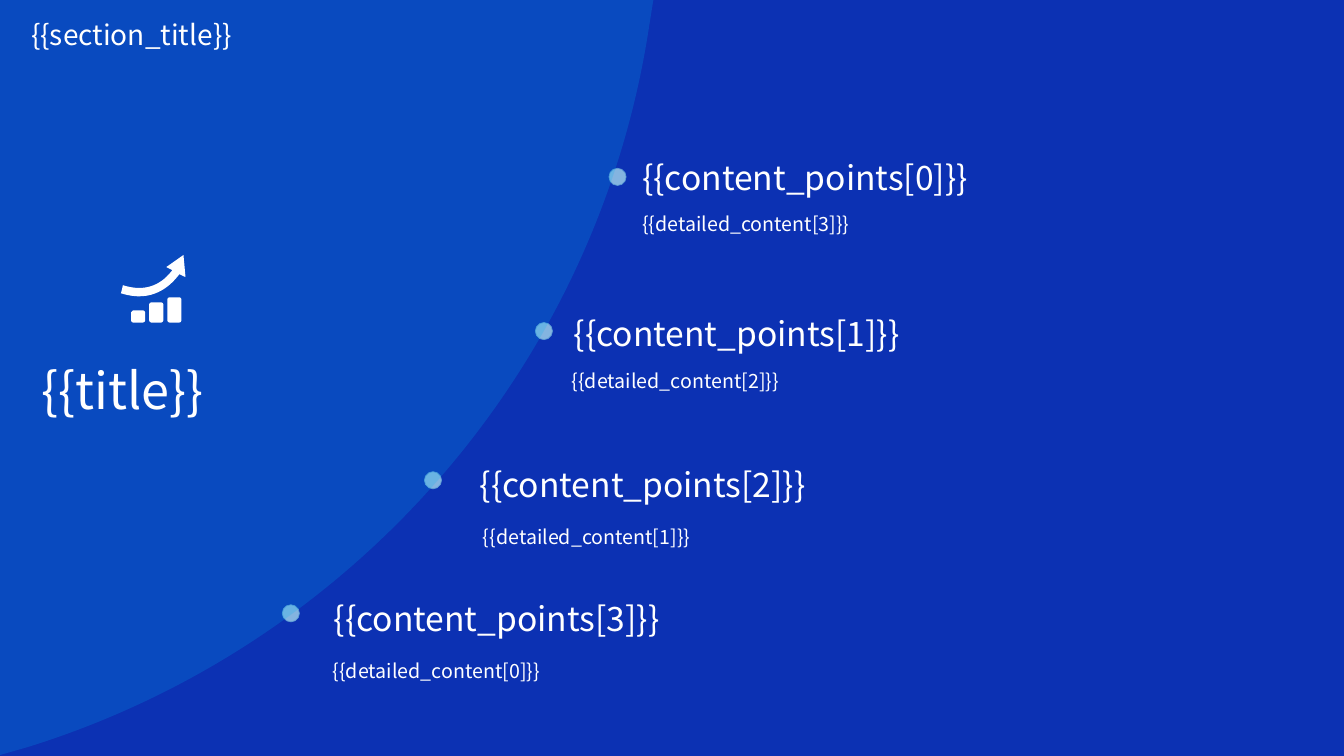
from lxml import etree
from pptx import Presentation
from pptx import util as u
from pptx.dml.color import RGBColor
from pptx.enum import shapes, text
from pptx.oxml.ns import qn

COLORS = {
    "background": "0C31B3",
    "disc": "00B0F0",
    "dot": "84B4E0",
    "dot_line": "5B9BD5",
    "white": "FFFFFF",
}
FONT = "Noto Sans CJK SC"


def rounded_bar(left, top, width, bottom, r=0.02):
    """Outline of a bar: pairs are line ends, six numbers are a Bezier curve."""
    right, h = left + width, r / 2
    return [
        (left + r, top), (right - r, top),
        (right - h, top, right, top + h, right, top + r), (right, bottom - r),
        (right, bottom - h, right - h, bottom, right - r, bottom), (left + r, bottom),
        (left + h, bottom, left, bottom - h, left, bottom - r), (left, top + r),
        (left, top + h, left + h, top, left + r, top),
    ]


class SlideBuilder:
    def __init__(self, prs):
        self.s = prs.slides.add_slide(prs.slide_layouts[6])
        fill = self.s.background.fill
        fill.solid()
        fill.fore_color.rgb = self.color("background")

    def color(self, name):
        return RGBColor.from_string(COLORS[name])

    def paint(self, sp, fill, line=None):
        sp.shadow.inherit = False
        sp.fill.solid()
        sp.fill.fore_color.rgb = self.color(fill)
        if line:
            sp.line.color.rgb = self.color(line)
            sp.line.width = u.Pt(0.5)
        else:
            sp.line.fill.background()

    def dot(self, left, top, size=0.17):
        sp = self.s.shapes.add_shape(shapes.MSO_SHAPE.OVAL, u.Inches(left), u.Inches(top),
                                     u.Inches(size), u.Inches(size))
        self.paint(sp, "dot", "dot_line")

    def outline(self, contours, fill, alpha=None):
        builder = None
        for contour in contours:
            ends = [(u.Inches(seg[-2]), u.Inches(seg[-1])) for seg in contour]
            if builder is None:
                builder = self.s.shapes.build_freeform(*ends[0])
            else:
                builder.move_to(*ends[0])
            builder.add_line_segments(ends[1:], close=True)
        sp = builder.convert_to_shape()
        self.bend(sp, [seg for contour in contours for seg in contour[1:]])
        self.paint(sp, fill)
        if alpha is not None:
            clr = sp._element.spPr.find(qn("a:solidFill"))[0]
            etree.SubElement(clr, qn("a:alpha")).set("val", str(alpha * 1000))

    def bend(self, sp, segments):
        """Turn the straight segments that have control points into curves."""
        for line, seg in zip(list(sp._element.iter(qn("a:lnTo"))), segments):
            if len(seg) == 2:
                continue
            bezier = etree.Element(qn("a:cubicBezTo"))
            for x, y in zip(seg[::2], seg[1::2]):
                pt = etree.SubElement(bezier, qn("a:pt"))
                pt.set("x", str(u.Inches(x) - sp.left))
                pt.set("y", str(u.Inches(y) - sp.top))
            line.getparent().replace(line, bezier)

    def label(self, words, box, size, inset=(0.1, 0.05), spacing=None):
        tf = self.s.shapes.add_textbox(*map(u.Inches, box)).text_frame
        tf.word_wrap = True
        tf.auto_size = text.MSO_AUTO_SIZE.SHAPE_TO_FIT_TEXT
        tf.margin_left = tf.margin_right = u.Inches(inset[0])
        tf.margin_top = tf.margin_bottom = u.Inches(inset[1])
        p = tf.paragraphs[0]
        if spacing:
            p.line_spacing = spacing
        r = p.add_run()
        r.text = words
        r.font.size = u.Pt(size)
        r.font.name = FONT
        r.font.color.rgb = self.color("white")


def main():
    prs = Presentation()
    prs.slide_width, prs.slide_height = u.Inches(13.33), u.Inches(7.5)
    slide = SlideBuilder(prs)

    # Content points: dot position, heading box, detail box
    points = [
        ((6.04, 1.67), (6.32, 1.51, 6.23, 0.5), (6.37, 1.99, 6.18, 0.35)),
        ((5.31, 3.2), (5.64, 3.06, 6.9, 0.5), (5.67, 3.54, 6.1, 0.35)),
        ((4.21, 4.68), (4.71, 4.55, 7.84, 0.5), (4.79, 5.09, 6.12, 0.35)),
        ((2.8, 6), (3.26, 5.88, 9.28, 0.5), (3.3, 6.42, 6.11, 0.35)),
    ]
    for i, (dot, heading, _) in enumerate(points):
        slide.dot(*dot)
        slide.label(f"{{{{content_points[{i}]}}}}", heading, 24, inset=(0.05, 0.05))

    # Translucent disc on the left
    slide.outline([[(0, 0), (6.48, 0), (6.44, 0.25),
                    (5.93, 3.65, 3.49, 6.41, 0.28, 7.41), (0, 7.49)]], "disc", alpha=20)

    # Title and growth icon
    slide.label("{{title}}", (0.31, 3.51, 3.41, 0.71), 36)
    bars = [rounded_bar(1.3 + 0.18 * i, top, 0.14, 3.2)
            for i, top in enumerate((3.08, 3, 2.95))]
    arrow = [(1.82, 2.53), (1.84, 2.75), (1.78, 2.72),
             (1.69, 2.84, 1.51, 3.01, 1.2, 2.91), (1.22, 2.83),
             (1.47, 2.91, 1.62, 2.8, 1.71, 2.68), (1.65, 2.65)]
    slide.outline([*bars, arrow], "white")

    # Details, numbered from the bottom up
    for i, (_, _, detail) in enumerate(points):
        slide.label(f"{{{{detailed_content[{len(points) - 1 - i}]}}}}", detail, 14,
                    inset=(0, 0), spacing=1.5)

    # Section title
    slide.label("{{section_title}}", (0.21, 0.12, 4.59, 0.44), 20)

    prs.save("out.pptx")


if __name__ == "__main__":
    main()
